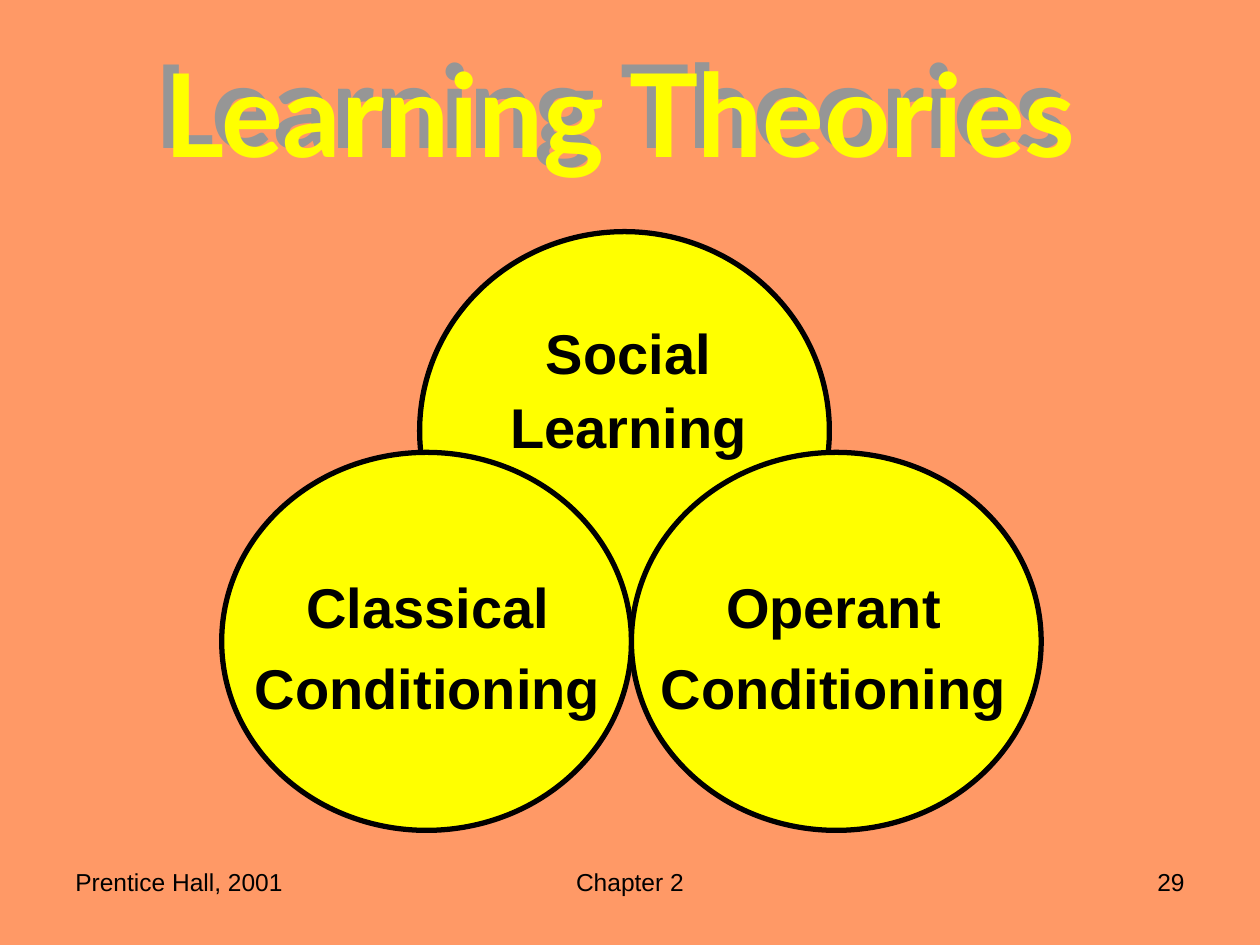
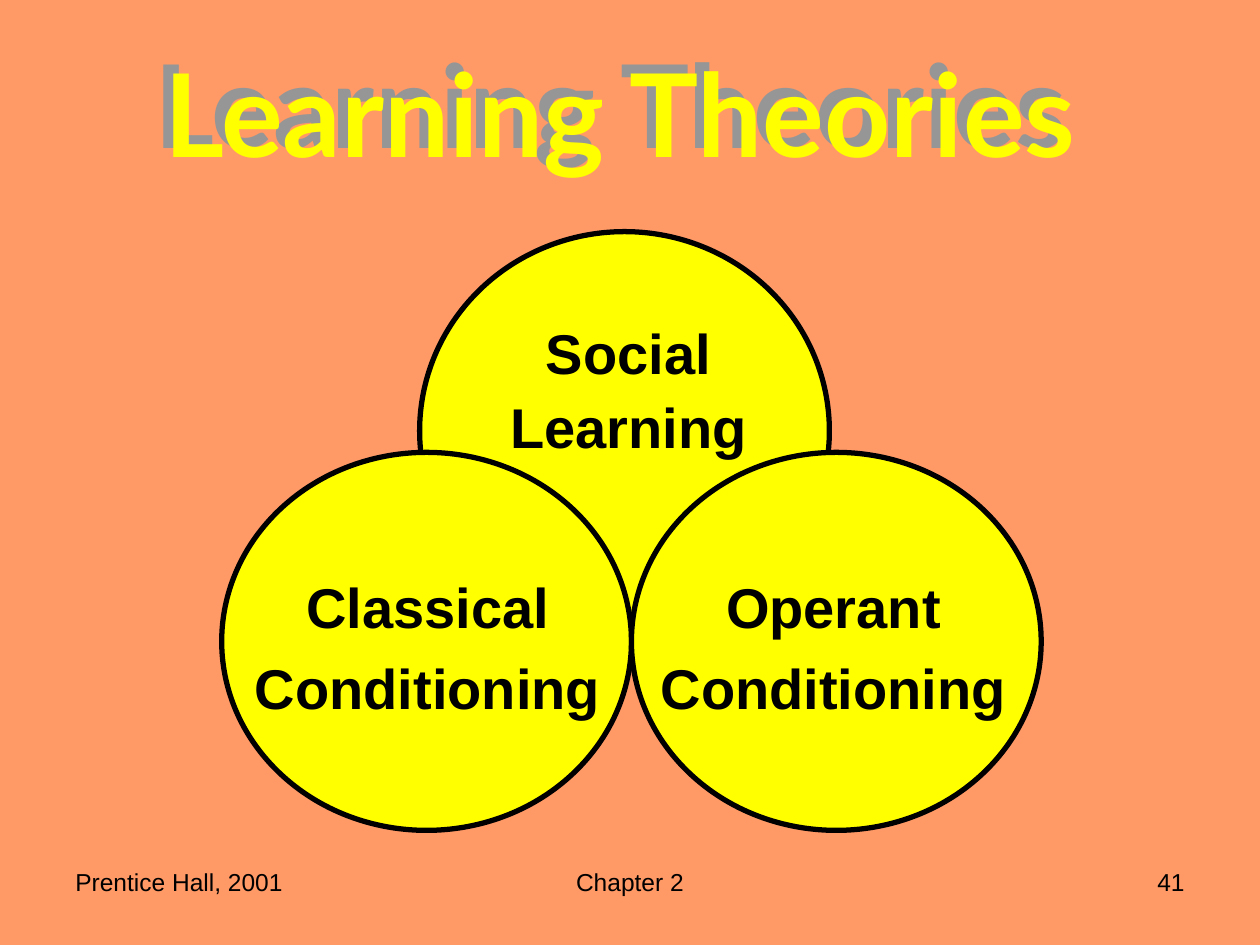
"""Build two Learning Theories slides with three overlapping circles."""
import lxml.etree
import pptx
import pptx.dml.color
import pptx.enum.shapes
import pptx.enum.text
import pptx.oxml.ns
import pptx.util

Cm = pptx.util.Cm
Pt = pptx.util.Pt
RGBColor = pptx.dml.color.RGBColor
Align = pptx.enum.text.PP_ALIGN
Anchor = pptx.enum.text.MSO_ANCHOR
AutoSize = pptx.enum.text.MSO_AUTO_SIZE

ORANGE = RGBColor(0xFF, 0x99, 0x66)
YELLOW = RGBColor(0xFF, 0xFF, 0x00)
BLACK = RGBColor(0x00, 0x00, 0x00)
GREY = RGBColor(0x96, 0x96, 0x96)

CIRCLE_WIDTH = 8.26
LEFT_CIRCLE = 4.47
THEORIES = [
    (["Social", "Learning"], (8.46, 4.67, CIRCLE_WIDTH, 8.03), (10.03, 6.17, 5.28, 3.23), 1.1),
    (["Classical", "Conditioning"], (LEFT_CIRCLE, 9.12, CIRCLE_WIDTH, 7.62), (4.88, 11.15, 7.49, 3.51), 1.2),
    (["Operant", "Conditioning"], (LEFT_CIRCLE + CIRCLE_WIDTH, 9.12, CIRCLE_WIDTH, 7.62), (13.06, 11.15, 7.49, 3.51), 1.2),
]
FOOTER_TOP = 17.35
FOOTER_HEIGHT = 1.32


def to_lengths(box):
    return [Cm(value) for value in box]


def format_paragraph(paragraph, alignment, size, name="Arial", color=BLACK, bold=False):
    paragraph.alignment = alignment
    font = paragraph.font
    font.name = name
    font.size = Pt(size)
    font.bold = bold
    font.color.rgb = color


def add_text_shadow(shape, color):
    shape.fill.background()
    qn = pptx.oxml.ns.qn
    effects = lxml.etree.SubElement(shape.element.spPr, qn("a:effectLst"))
    shadow = lxml.etree.SubElement(
        effects, qn("a:outerShdw"), dist=str(Pt(7.6)), dir="13500000", algn="ctr", rotWithShape="0"
    )
    lxml.etree.SubElement(shadow, qn("a:srgbClr"), val=str(color))


def set_title(slide, text):
    title = slide.shapes.title
    title.left, title.top, title.width, title.height = to_lengths((1.07, 0.84, 22.86, 3.18))
    frame = title.text_frame
    frame.text = text
    frame.auto_size = AutoSize.NONE
    frame.vertical_anchor = Anchor.MIDDLE
    paragraph = frame.paragraphs[0]
    paragraph.line_spacing = 0.9
    format_paragraph(paragraph, Align.CENTER, 66, "Lato", YELLOW, True)
    add_text_shadow(title, GREY)


def add_circle(slide, box):
    circle = slide.shapes.add_shape(pptx.enum.shapes.MSO_SHAPE.OVAL, *to_lengths(box))
    circle.shadow.inherit = False
    circle.fill.solid()
    circle.fill.fore_color.rgb = YELLOW
    circle.line.color.rgb = BLACK
    circle.line.width = Pt(3)


def add_label(slide, lines, box, line_spacing):
    frame = slide.shapes.add_textbox(*to_lengths(box)).text_frame
    frame.text = "\n".join(lines)
    frame.word_wrap = False
    frame.auto_size = AutoSize.SHAPE_TO_FIT_TEXT
    frame.vertical_anchor = Anchor.MIDDLE
    for paragraph in frame.paragraphs:
        paragraph.line_spacing = line_spacing
        format_paragraph(paragraph, Align.CENTER, 32, bold=True)


def add_footer(slide, text, left, width, alignment):
    box = (left, FOOTER_TOP, width, FOOTER_HEIGHT)
    frame = slide.shapes.add_textbox(*to_lengths(box)).text_frame
    frame.word_wrap = True
    frame.text = text
    format_paragraph(frame.paragraphs[0], alignment, 14)


def add_theories_slide(presentation, number):
    slide = presentation.slides.add_slide(presentation.slide_layouts[5])
    set_title(slide, "Learning Theories")
    for lines, circle_box, label_box, line_spacing in THEORIES:
        add_circle(slide, circle_box)
        add_label(slide, lines, label_box, line_spacing)
    add_footer(slide, "Prentice Hall, 2001", 1.27, 5.92, Align.LEFT)
    add_footer(slide, "Chapter 2", 8.68, 8.04, Align.CENTER)
    add_footer(slide, str(number), 18.21, 5.92, Align.RIGHT)


def main():
    presentation = pptx.Presentation()
    presentation.slide_width = Cm(25.4)
    presentation.slide_height = Cm(19.05)
    background = presentation.slide_master.background.fill
    background.solid()
    background.fore_color.rgb = ORANGE
    for number in (29, 41):
        add_theories_slide(presentation, number)
    presentation.save("out.pptx")


if __name__ == "__main__":
    main()
